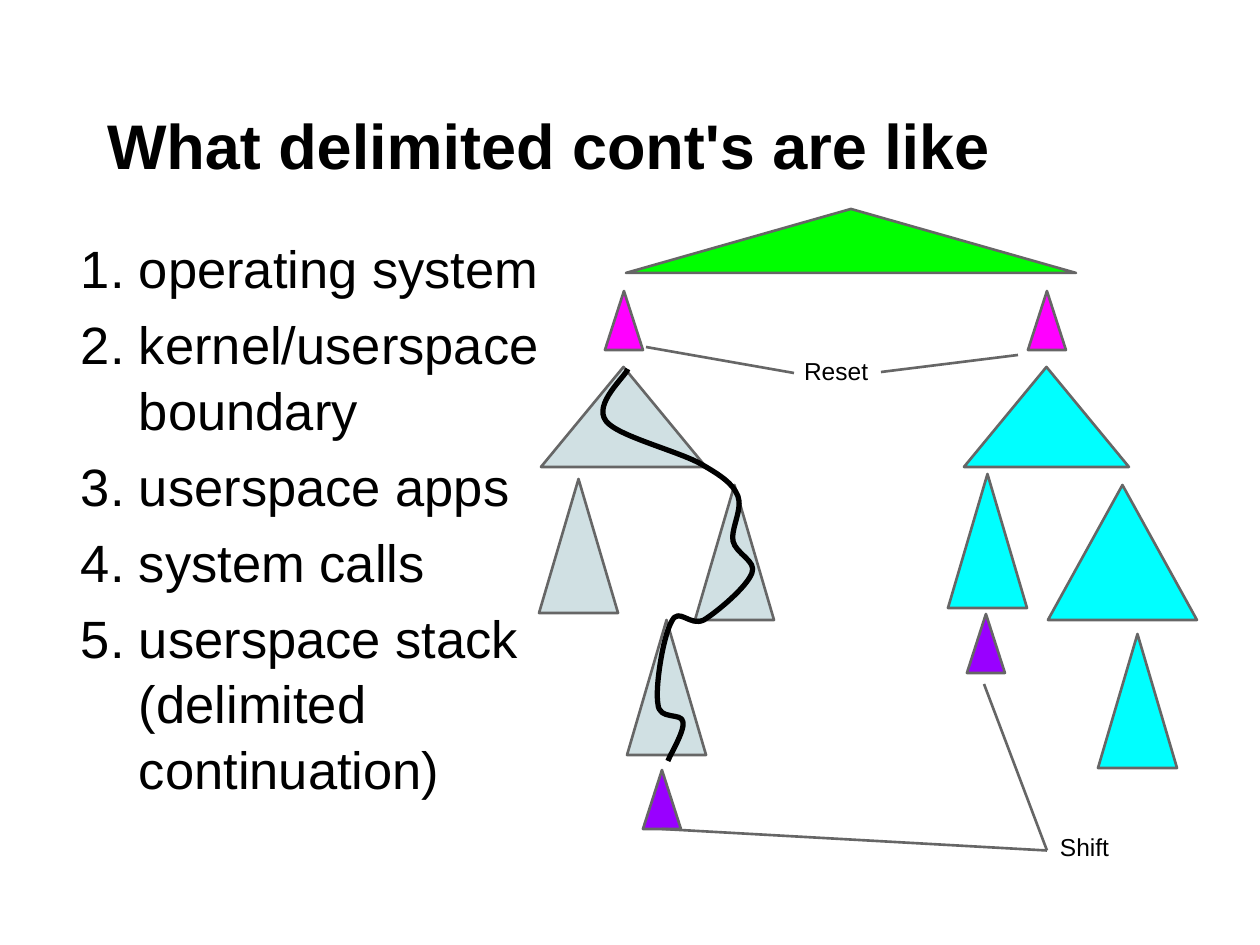
from dataclasses import dataclass
from itertools import chain

from lxml.etree import SubElement
from pptx import Presentation
from pptx.dml.color import RGBColor
from pptx.enum.shapes import MSO_CONNECTOR as Connector, MSO_SHAPE as Preset
from pptx.enum.text import MSO_ANCHOR as Anchor, MSO_AUTO_SIZE as AutoSize, PP_ALIGN as Align
from pptx.oxml.ns import qn
from pptx.util import Emu, Pt

FONT = "Arial"
COLORS = {
    "ink": "000000",
    "edge": "666666",
    "system": "00FF00",
    "reset": "FF00FF",
    "shift": "9900FF",
    "left app": "D0E0E3",
    "right app": "00FFFF",
}


@dataclass(frozen=True)
class Frame:
    """Describe one triangle of the stack."""
    role: str
    left: int
    top: int
    width: int
    height: int


@dataclass(frozen=True)
class Pointer:
    """Describe one line from a label to a marker."""
    start: tuple[int, int]
    end: tuple[int, int]
    label: str = ""


FRAMES = [
    Frame("right app", 964, 367, 165, 100),
    Frame("right app", 948, 474, 79, 134),
    Frame("right app", 1048, 485, 149, 135),
    Frame("right app", 1098, 634, 79, 134),
    Frame("left app", 541, 367, 165, 100),
    Frame("left app", 539, 479, 79, 134),
    Frame("left app", 695, 485, 79, 135),
    Frame("left app", 627, 620, 79, 135),
    Frame("system", 626, 209, 450, 64),
    Frame("shift", 643, 770, 38, 59),
    Frame("shift", 967, 614, 38, 59),
    Frame("reset", 605, 291, 38, 59),
    Frame("reset", 1028, 291, 38, 59),
]
POINTERS = [
    Pointer((881, 372), (1018, 355)),
    Pointer((794, 373), (646, 347)),
    Pointer((1047, 851), (984, 684), "Shift"),
    Pointer((1047, 851), (662, 829), "Shift"),
]
LABELS = {"Shift": (1047, 819, 83, 63), "Reset": (791, 343, 96, 63)}
PARTS = [
    "operating system",
    "kernel/userspace boundary",
    "userspace apps",
    "system calls",
    "userspace stack\v(delimited\vcontinuation)",
]
TRACE_START = (668, 761)
TRACE_CURVES = [
    ((670, 755), (685, 731), (683, 722)),
    ((682, 712), (659, 721), (658, 704)),
    ((655, 688), (663, 636), (672, 621)),
    ((679, 607), (690, 627), (704, 620)),
    ((717, 612), (747, 587), (752, 573)),
    ((757, 561), (736, 554), (733, 541)),
    ((731, 528), (743, 509), (738, 496)),
    ((733, 484), (722, 476), (701, 464)),
    ((678, 451), (617, 436), (606, 421)),
    ((593, 404), (625, 377), (628, 369)),
]


def px(length: int) -> Emu:
    """Turn px into EMU."""
    return Emu(round(length * 914400 / 126))


def color(role: str) -> RGBColor:
    """Look up a colour by its role."""
    return RGBColor.from_string(COLORS[role])


def write(shape, *lines: str, size: int, bold=False, anchor=Anchor.TOP, indent=0,
          hanging=0, numbered=False, gap=0, spacing=1.0) -> None:
    """Fill a shape with formatted paragraphs."""
    frame = shape.text_frame
    frame.auto_size = AutoSize.NONE
    frame.word_wrap = True
    frame.vertical_anchor = anchor
    frame.margin_left = frame.margin_right = px(13)
    frame.margin_top = frame.margin_bottom = px(13)
    for position, line in enumerate(lines):
        paragraph = frame.add_paragraph() if position else frame.paragraphs[0]
        paragraph.text = line
        paragraph.alignment = Align.LEFT
        paragraph.line_spacing = spacing
        paragraph.space_before = Pt(gap if position else 0)
        properties = paragraph._p.get_or_add_pPr()
        properties.set("marL", str(px(hanging)))
        properties.set("indent", str(px(indent)))
        if numbered:
            SubElement(properties, qn("a:buAutoNum"), type="arabicPeriod")
        for run in paragraph.runs:
            run.font.name = FONT
            run.font.size = Pt(size)
            run.font.bold = bold
            run.font.color.rgb = color("ink")


def add_text(slide, box: tuple[int, int, int, int], *lines: str, **style):
    """Add a text box holding the given lines."""
    text_box = slide.shapes.add_textbox(*map(px, box))
    write(text_box, *lines, **style)
    return text_box


def outline(shape, role: str, points: float) -> None:
    """Set the line of a shape or connector."""
    shape.line.color.rgb = color(role)
    shape.line.width = Pt(points)


def add_frame(slide, frame: Frame) -> None:
    """Draw one triangle."""
    box = (frame.left, frame.top, frame.width, frame.height)
    triangle = slide.shapes.add_shape(Preset.ISOSCELES_TRIANGLE, *map(px, box))
    triangle.shadow.inherit = False
    triangle.fill.solid()
    triangle.fill.fore_color.rgb = color(frame.role)
    outline(triangle, "edge", 1.5)


def add_pointer(slide, pointer: Pointer, labels: dict) -> None:
    """Draw one line, joined to its label where they touch."""
    ends = map(px, pointer.start + pointer.end)
    line = slide.shapes.add_connector(Connector.STRAIGHT, *ends)
    outline(line, "edge", 1.5)
    SubElement(line._element.spPr, qn("a:effectLst"))
    if pointer.label:
        line.begin_connect(labels[pointer.label], 1)


def add_trace(slide) -> None:
    """Draw the winding control path as cubic curves."""
    builder = slide.shapes.build_freeform(*map(px, TRACE_START))
    points = [tuple(map(px, point)) for point in chain.from_iterable(TRACE_CURVES)]
    builder.add_line_segments(points, close=False)
    trace = builder.convert_to_shape()
    trace.shadow.inherit = False
    trace.fill.background()
    outline(trace, "ink", 3)
    route = next(trace._element.iter(qn("a:path")))
    segments = route.findall(qn("a:lnTo"))
    for first in range(0, len(segments), 3):
        curve = SubElement(route, qn("a:cubicBezTo"))
        for segment in segments[first:first + 3]:
            curve.append(segment[0])
            route.remove(segment)


def main() -> None:
    """Build the slide and save it."""
    deck = Presentation()
    deck.slide_width, deck.slide_height = px(1260), px(945)
    slide = deck.slides.add_slide(deck.slide_layouts[5])
    title = slide.shapes.title
    title.left, title.top, title.width, title.height = map(px, (63, 38, 1134, 157))
    write(title, "What delimited cont's are like", size=36, bold=True,
          anchor=Anchor.BOTTOM, indent=31)
    add_text(slide, (63, 221, 566, 684), *PARTS, size=30, hanging=63, indent=-58,
             numbered=True, gap=6, spacing=1.04)
    for frame in FRAMES:
        add_frame(slide, frame)
    labels = {text: add_text(slide, box, text, size=14) for text, box in LABELS.items()}
    for pointer in POINTERS:
        add_pointer(slide, pointer, labels)
    add_trace(slide)
    deck.save("out.pptx")


if __name__ == "__main__":
    main()
